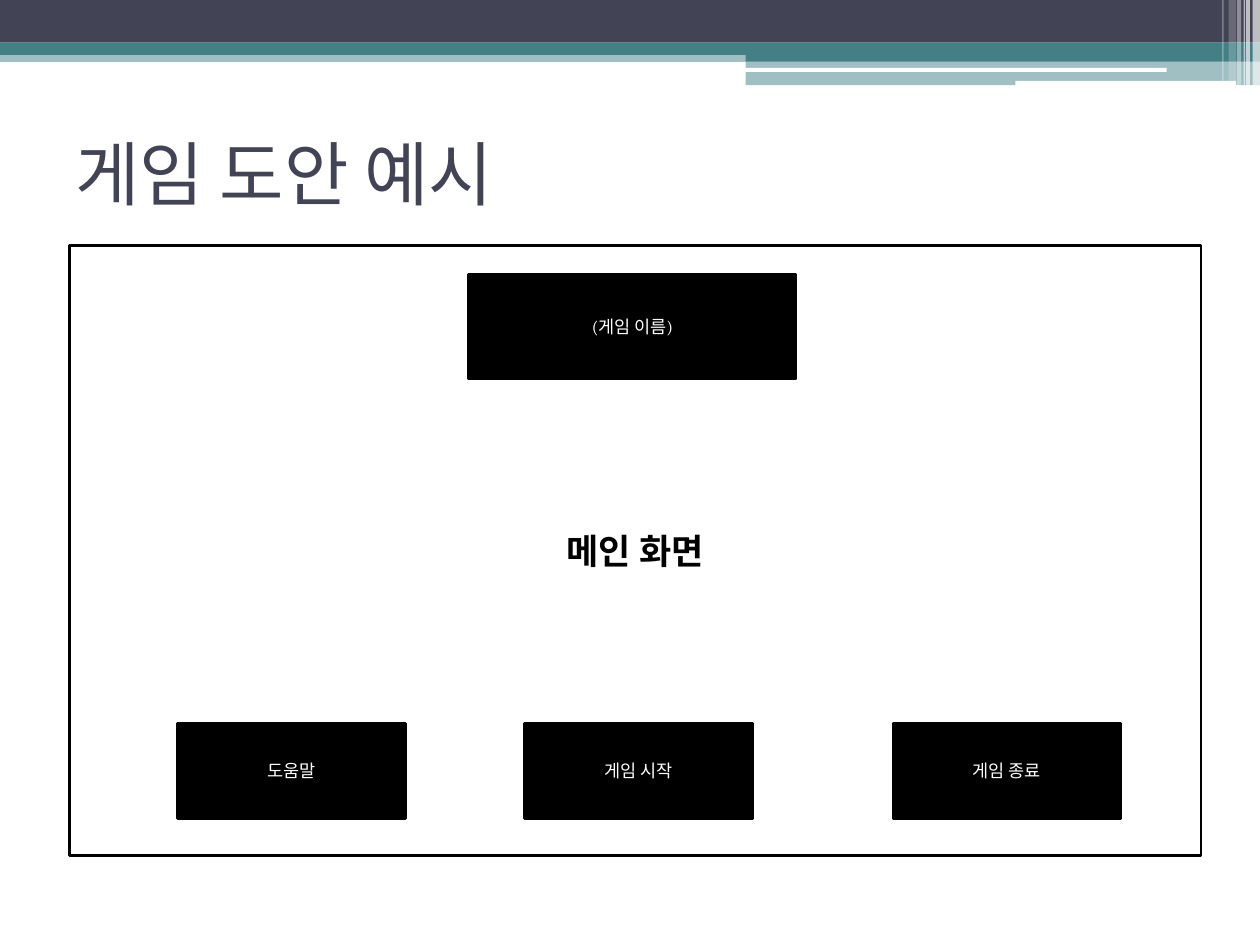
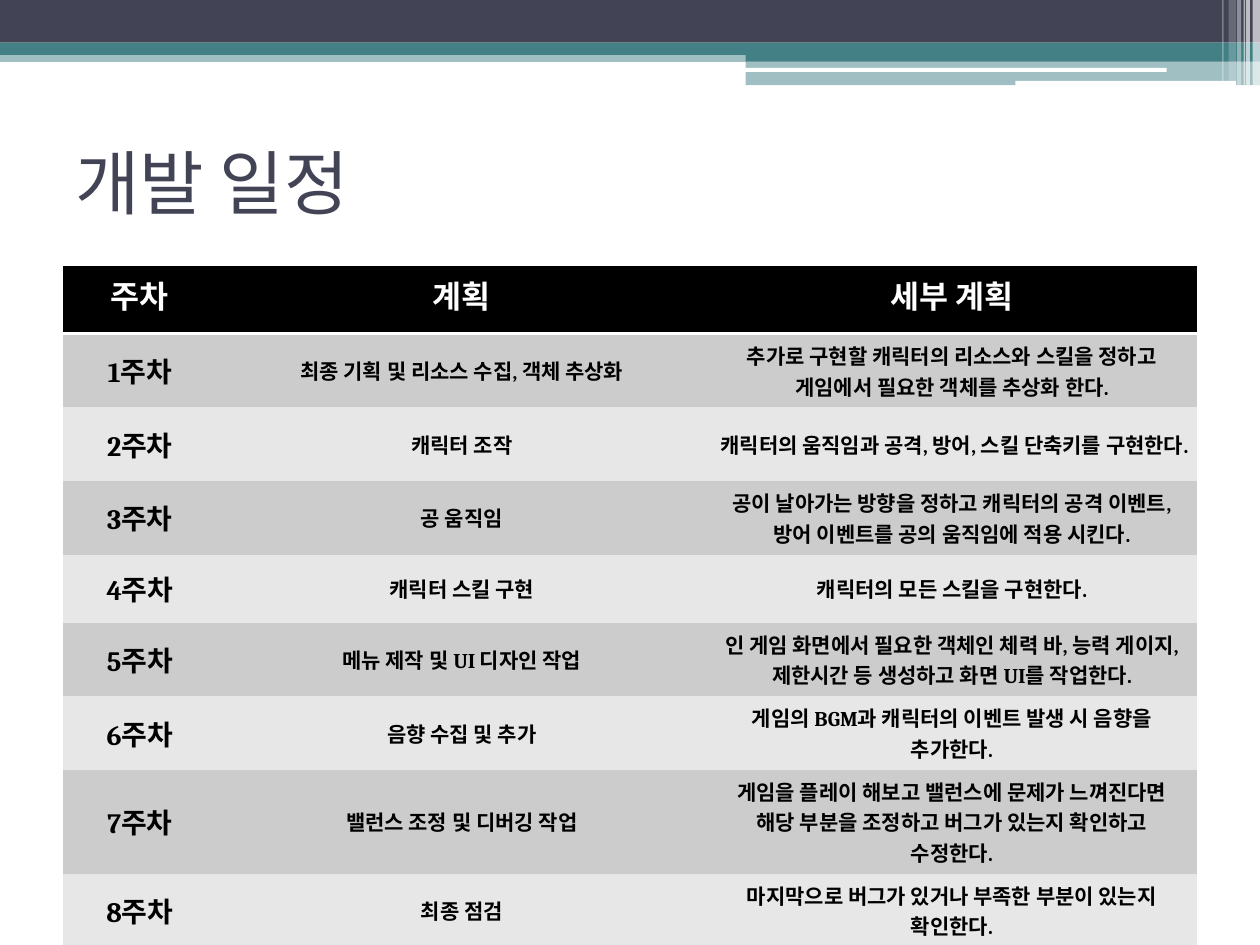
from dataclasses import dataclass

from lxml import etree
from pptx import Presentation
from pptx.dml.color import RGBColor
from pptx.enum.shapes import MSO_SHAPE
from pptx.enum.text import MSO_ANCHOR, PP_ALIGN
from pptx.oxml.ns import qn
from pptx.shapes.autoshape import Shape
from pptx.slide import Slide
from pptx.text.text import TextFrame
from pptx.util import Cm, Pt

RECTANGLE = MSO_SHAPE.RECTANGLE
ROUNDED = MSO_SHAPE.ROUNDED_RECTANGLE
LEFT, CENTER = PP_ALIGN.LEFT, PP_ALIGN.CENTER
TOP, MIDDLE = MSO_ANCHOR.TOP, MSO_ANCHOR.MIDDLE

COLORS = {
    "navy": "424456",
    "teal": "438086",
    "white": "FFFFFF",
    "black": "000000",
    "odd_row": "CCCCCC",
    "even_row": "E7E7E7",
}
TITLE_FONT = "Cabin"
BODY_FONT = "Cambria"
SLIDE_WIDTH, SLIDE_HEIGHT = 25.4, 19.05
TITLE_ONLY_LAYOUT = 5
PLAIN_TABLE_STYLE = "{2D5ABB26-0587-4C30-8999-92F81FD0307C}"


@dataclass(frozen=True)
class Band:
    """One part of the header decoration; lengths in cm, opacity in percent."""
    left: float
    top: float
    width: float
    height: float
    color: str
    opacity: int = 100
    geometry: MSO_SHAPE = RECTANGLE


@dataclass(frozen=True)
class Box:
    """One labelled box of the screen sketch; lengths in cm."""
    label: str
    left: float
    top: float
    width: float
    height: float
    fill: str = "black"
    text_color: str = "white"
    size: int = 10
    bold: bool = False


@dataclass(frozen=True)
class Week:
    plan: str
    detail: str


HEADER_BANDS = [
    Band(0, 1.02, SLIDE_WIDTH, 0.23, "teal", 50),
    Band(0, 0, SLIDE_WIDTH, 0.86, "navy"),
    Band(0, 0.86, SLIDE_WIDTH, 0.25, "teal"),
    Band(15.03, 0.99, 10.37, 0.25, "teal"),
    Band(15.03, 1.24, 10.37, 0.48, "teal", 50),
    Band(15.01, 1.37, 8.51, 0.08, "white", geometry=ROUNDED),
    Band(20.47, 1.63, 4.45, 0.1, "white", geometry=ROUNDED),
    # Thin vertical stripes at the right edge
    Band(25.25, 0, 0.15, 1.73, "white", 65),
    Band(25.12, 0, 0.08, 1.73, "white", 65),
    Band(25.07, 0, 0.03, 1.73, "white", 60),
    Band(24.94, 0, 0.08, 1.73, "white", 40),
    Band(24.77, 0, 0.15, 1.63, "white", 20),
    Band(24.64, 0, 0.03, 1.63, "white", 30),
]

BUTTONS = {"도움말": 3.58, "게임 시작": 10.58, "게임 종료": 18}
SCREEN_BOXES = [
    Box("메인 화면", 1.4, 4.95, 22.81, 12.3, "white", "black", 20, True),
    Box("(게임 이름)", 9.45, 5.53, 6.6, 2.11),
    *(Box(label, left, 14.58, 4.6, 1.92) for label, left in BUTTONS.items()),
]

TABLE_HEADINGS = ["주차", "계획", "세부 계획"]
COLUMN_WIDTHS = [3.1, 9.88, 9.88]
ROW_HEIGHT = 1.37
WEEKS = [
    Week("최종 기획 및 리소스 수집, 객체 추상화",
         "추가로 구현할 캐릭터의 리소스와 스킬을 정하고 게임에서 필요한 객체를 추상화 한다."),
    Week("캐릭터 조작", "캐릭터의 움직임과 공격, 방어, 스킬 단축키를 구현한다."),
    Week("공 움직임",
         "공이 날아가는 방향을 정하고 캐릭터의 공격 이벤트, 방어 이벤트를 공의 움직임에 적용 시킨다."),
    Week("캐릭터 스킬 구현", "캐릭터의 모든 스킬을 구현한다."),
    Week("메뉴 제작 및 UI 디자인 작업",
         "인 게임 화면에서 필요한 객체인 체력 바, 능력 게이지, 제한시간 등 생성하고 화면 UI를 작업한다."),
    Week("음향 수집 및 추가", "게임의 BGM과 캐릭터의 이벤트 발생 시 음향을 추가한다."),
    Week("밸런스 조정 및 디버깅 작업",
         "게임을 플레이 해보고 밸런스에 문제가 느껴진다면 해당 부분을 조정하고 버그가 있는지 확인하고 수정한다."),
    Week("최종 점검", "마지막으로 버그가 있거나 부족한 부분이 있는지 확인한다."),
]


def rgb(color: str) -> RGBColor:
    return RGBColor.from_string(COLORS[color])


def write_text(text_frame: TextFrame, text: str, *, size: int, color: str,
               font: str = BODY_FONT, bold: bool = False,
               alignment: PP_ALIGN = CENTER) -> None:
    """Put one formatted paragraph into a text frame."""
    paragraph = text_frame.paragraphs[0]
    paragraph.alignment = alignment
    run = paragraph.add_run()
    run.text = text
    run.font.name = font
    run.font.size = Pt(size)
    run.font.bold = bold
    run.font.color.rgb = rgb(color)


def add_filled_shape(shapes, item: Band | Box, geometry: MSO_SHAPE, color: str) -> Shape:
    """Add a flat shape without shadow or outline."""
    shape = shapes.add_shape(geometry, Cm(item.left), Cm(item.top),
                             Cm(item.width), Cm(item.height))
    shape.shadow.inherit = False
    shape.fill.solid()
    shape.fill.fore_color.rgb = rgb(color)
    shape.line.fill.background()
    return shape


def add_band(slide: Slide, band: Band) -> None:
    shape = add_filled_shape(slide.shapes, band, band.geometry, band.color)
    if band.opacity < 100:
        color_element = shape.fill._xPr.find(qn("a:solidFill"))[0]
        alpha = etree.SubElement(color_element, qn("a:alpha"))
        alpha.set("val", str(band.opacity * 1000))


def add_box(shapes, box: Box) -> None:
    shape = add_filled_shape(shapes, box, RECTANGLE, box.fill)
    shape.line.color.rgb = rgb("black")
    shape.line.width = Pt(1.5)
    shape.text_frame.word_wrap = True
    shape.text_frame.vertical_anchor = MIDDLE
    write_text(shape.text_frame, box.label, size=box.size,
               color=box.text_color, bold=box.bold)


def add_titled_slide(presentation, title: str, title_top: float) -> Slide:
    """Add a slide with the shared header bands and title style."""
    slide = presentation.slides.add_slide(presentation.slide_layouts[TITLE_ONLY_LAYOUT])
    for band in HEADER_BANDS:
        add_band(slide, band)
    placeholder = slide.shapes.title
    placeholder.left, placeholder.top = Cm(1.27), Cm(title_top)
    placeholder.width, placeholder.height = Cm(22.86), Cm(2.97)
    placeholder.text_frame.vertical_anchor = MIDDLE
    write_text(placeholder.text_frame, title, size=40, color="navy",
               font=TITLE_FONT, alignment=LEFT)
    return slide


def add_bottom_border(cell, color: str, width: float) -> None:
    line = etree.Element(qn("a:lnB"), w=str(Pt(width)))
    fill = etree.SubElement(line, qn("a:solidFill"))
    etree.SubElement(fill, qn("a:srgbClr"), val=COLORS[color])
    cell._tc.get_or_add_tcPr().insert(0, line)


def add_schedule(slide: Slide) -> None:
    """Add the table with one row per week."""
    rows = [TABLE_HEADINGS]
    rows += [[f"{number}주차", week.plan, week.detail]
             for number, week in enumerate(WEEKS, start=1)]
    frame = slide.shapes.add_table(
        len(rows), len(COLUMN_WIDTHS), Cm(1.27), Cm(5.36),
        Cm(sum(COLUMN_WIDTHS)), Cm(ROW_HEIGHT * len(rows)))
    table = frame.table
    table._tbl.tblPr.find(qn("a:tableStyleId")).text = PLAIN_TABLE_STYLE
    for column, width in zip(table.columns, COLUMN_WIDTHS):
        column.width = Cm(width)

    for row_index, texts in enumerate(rows):
        is_heading = row_index == 0
        band_color = "odd_row" if row_index % 2 else "even_row"
        for column_index, text in enumerate(texts):
            cell = table.cell(row_index, column_index)
            cell.fill.solid()
            cell.fill.fore_color.rgb = rgb("black" if is_heading else band_color)
            cell.vertical_anchor = TOP if is_heading else MIDDLE
            body_size = 16 if column_index == 0 else 12
            write_text(cell.text_frame, text, bold=True,
                       size=18 if is_heading else body_size,
                       color="white" if is_heading else "black")
            if is_heading:
                add_bottom_border(cell, "white", 2)


presentation = Presentation()
presentation.slide_width, presentation.slide_height = Cm(SLIDE_WIDTH), Cm(SLIDE_HEIGHT)

# Game screen sketch
sketch_slide = add_titled_slide(presentation, "게임 도안 예시", 2)
screen = sketch_slide.shapes.add_group_shape()
for screen_box in SCREEN_BOXES:
    add_box(screen.shapes, screen_box)

# Development schedule
schedule_slide = add_titled_slide(presentation, "개발 일정", 2.18)
add_schedule(schedule_slide)

presentation.save("out.pptx")
